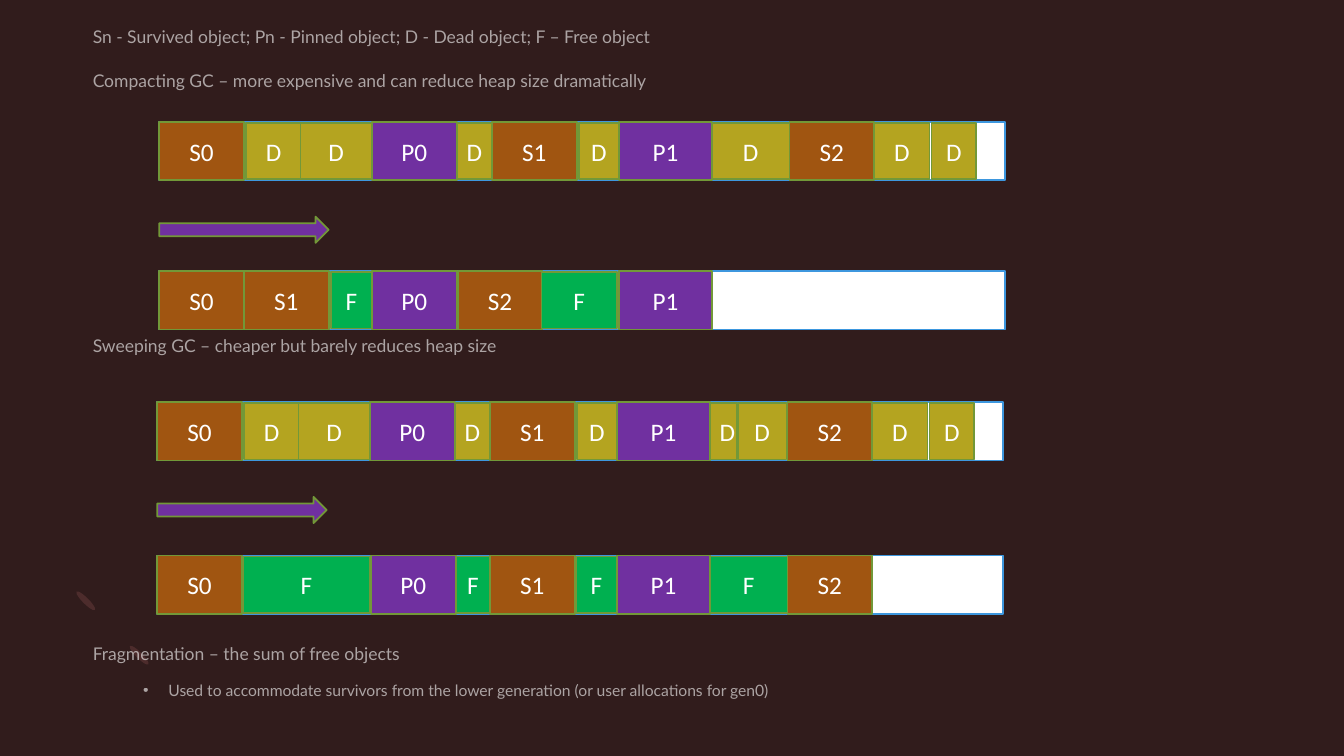
import pptx
import pptx.util
import pptx.dml.color
import pptx.enum.shapes
import pptx.enum.text
import pptx.oxml.ns
import lxml.etree

Inches = pptx.util.Inches
Pt = pptx.util.Pt
Shape = pptx.enum.shapes.MSO_SHAPE

PARAGRAPHS = [
    ("Sn - Survived object; Pn - Pinned object; D - Dead object; F – Free object", 0, 12.5, 0),
    ("Compacting GC – more expensive and can reduce heap size dramatically", 0, 12.5, 10),
    ("Sweeping GC – cheaper but barely reduces heap size", 0, 12.5, 167.5),
    ("Fragmentation – the sum of free objects", 0, 12.5, 199),
    ("Used to accommodate survivors from the lower generation (or user allocations for gen0)", 1, 11.2, 5),
]

BEFORE_START = [
    ("S0", 0, 0.84), ("D", 0.86, 0.55), ("D", 1.4, 0.71), ("P0", 2.11, 0.84),
    ("D", 2.95, 0.35), ("S1", 3.3, 0.84), ("D", 4.16, 0.4), ("P1", 4.56, 0.92),
]
BEFORE_END = [("S2", 6.25, 0.84), ("D", 7.09, 0.55), ("D", 7.66, 0.44)]
COMPACTED = [
    ("S0", 0, 0.84), ("S1", 0.84, 0.84), ("F", 1.7, 0.41), ("P0", 2.11, 0.84),
    ("S2", 2.96, 0.84), ("F", 3.79, 0.75), ("P1", 4.56, 0.92),
]
SWEPT = [
    ("S0", 0, 0.84), ("F", 0.85, 1.26), ("P0", 2.12, 0.84), ("F", 2.96, 0.34),
    ("S1", 3.3, 0.84), ("F", 4.15, 0.41), ("P1", 4.56, 0.92), ("F", 5.48, 0.77),
    ("S2", 6.25, 0.84),
]
HEAPS = [
    (1.58, 1.21, BEFORE_START + [("D", 5.48, 0.77)] + BEFORE_END),
    (1.58, 2.69, COMPACTED),
    (1.56, 3.99, BEFORE_START + [("D", 5.48, 0.27), ("D", 5.76, 0.48)] + BEFORE_END),
    (1.56, 5.51, SWEPT),
]
ARROWS = [(1.58, 2.15), (1.56, 4.93)]
KINDS = {
    "S": ("A05511", 0, 0.58),
    "P": ("7030A0", 0, 0.58),
    "D": ("B4A420", 0.01, 0.56),
    "F": ("00B050", 0.01, 0.56),
}
OUTLINE = "729838"

LEAVES = [(1.35, 6.37), (0.82, 5.83)]
CRESCENT_START = (0.76, 6.59)
CRESCENT_CURVES = [
    [(0.56, 6.39), (0.58, 6.05), (0.81, 5.82)],
    [(0.87, 5.88), (0.93, 5.94), (0.99, 6)],
    [(0.87, 6.11), (0.86, 6.29), (0.96, 6.38)],
    [(1.06, 6.48), (1.23, 6.47), (1.35, 6.36)],
    [(1.41, 6.42), (1.46, 6.48), (1.52, 6.54)],
    [(1.3, 6.76), (0.95, 6.79), (0.76, 6.59)],
]


def color(fmt, value, alpha=None):
    fmt.rgb = pptx.dml.color.RGBColor.from_string(value)
    if alpha is not None:
        return {"val": str(alpha * 1000)}


def set_alpha(parent, percent):
    for tone in parent.iter(pptx.oxml.ns.qn("a:srgbClr")):
        lxml.etree.SubElement(tone, pptx.oxml.ns.qn("a:alpha"), val=str(percent * 1000))


def paint(shape, fill, line=None):
    shape.shadow.inherit = False
    shape.fill.solid()
    color(shape.fill.fore_color, fill)
    if line:
        color(shape.line.color, line)
        shape.line.width = Pt(1.25)
    else:
        shape.line.fill.background()


def add_part(page, kind, place, fill, line=None, label=None):
    shape = page.shapes.add_shape(kind, *[Inches(value) for value in place])
    paint(shape, fill, line)
    if label:
        frame = shape.text_frame
        frame.vertical_anchor = pptx.enum.text.MSO_ANCHOR.MIDDLE
        para = frame.paragraphs[0]
        para.text = label
        para.alignment = pptx.enum.text.PP_ALIGN.CENTER
        para.font.size = Pt(18)
        para.font.name = "Calibri"
        color(para.font.color, "FFFFFF")
    return shape


def curve_points(start, curves, steps=8):
    points = []
    for first, second, end in curves:
        for step in range(1, steps + 1):
            t = step / steps
            u = 1 - t
            points.append(tuple(
                u ** 3 * a + 3 * u * u * t * b + 3 * u * t * t * c + t ** 3 * d
                for a, b, c, d in zip(start, first, second, end)))
        start = end
    return points


def add_decoration(page):
    for left, top in LEAVES:
        leaf = add_part(page, Shape.OVAL, (left, top, 0.06, 0.26), "4D2C2C")
        leaf.rotation = 135
    builder = page.shapes.build_freeform(*CRESCENT_START, scale=Inches(1))
    builder.add_line_segments(curve_points(CRESCENT_START, CRESCENT_CURVES), close=True)
    crescent = builder.convert_to_shape()
    paint(crescent, "B07575")
    set_alpha(crescent.fill._xPr, 4)


def fill_body(body):
    body.left, body.top = Inches(0.92), Inches(0.28)
    body.width, body.height = Inches(12.42), Inches(6.98)
    frame = body.text_frame
    frame.auto_size = pptx.enum.text.MSO_AUTO_SIZE.NONE
    frame.word_wrap = True
    frame.vertical_anchor = pptx.enum.text.MSO_ANCHOR.TOP
    frame.margin_left = frame.margin_top = frame.margin_right = frame.margin_bottom = 0
    for index, (text, level, size, before) in enumerate(PARAGRAPHS):
        para = frame.add_paragraph() if index else frame.paragraphs[0]
        para.text = text
        para.level = level
        para.line_spacing = 0.9
        para.space_before, para.space_after = Pt(before), Pt(8)
        props = para._p.get_or_add_pPr()
        props.set("marL", str(Inches(0.75 * level)))
        props.set("indent", str(Inches(-0.25 * level)))
        if level:
            lxml.etree.SubElement(props, pptx.oxml.ns.qn("a:buChar"), char="•")
        else:
            lxml.etree.SubElement(props, pptx.oxml.ns.qn("a:buNone"))
        para.font.size = Pt(size)
        para.font.name = "Lato"
        color(para.font.color, "FFFFFF")
        set_alpha(props, 60)


def main():
    deck = pptx.Presentation()
    deck.slide_width, deck.slide_height = Inches(13.33), Inches(7.5)
    page = deck.slides.add_slide(deck.slide_layouts[1])
    page.background.fill.solid()
    color(page.background.fill.fore_color, "311C1C")
    title = page.shapes.title
    title.element.getparent().remove(title.element)
    add_decoration(page)
    body = page.placeholders[1]
    fill_body(body)
    page.shapes._spTree.append(body.element)

    for left, top, blocks in HEAPS:
        add_part(page, Shape.RECTANGLE, (left, top, 8.39, 0.58), "FFFFFF", "3D97DE")
        for label, offset, width in blocks:
            fill, drop, height = KINDS[label[0]]
            place = (left + offset, top + drop, width, height)
            add_part(page, Shape.RECTANGLE, place, fill, OUTLINE, label)
    for left, top in ARROWS:
        add_part(page, Shape.RIGHT_ARROW, (left, top, 1.68, 0.26), "7030A0", OUTLINE)
    deck.save("out.pptx")


if __name__ == "__main__":
    main()
